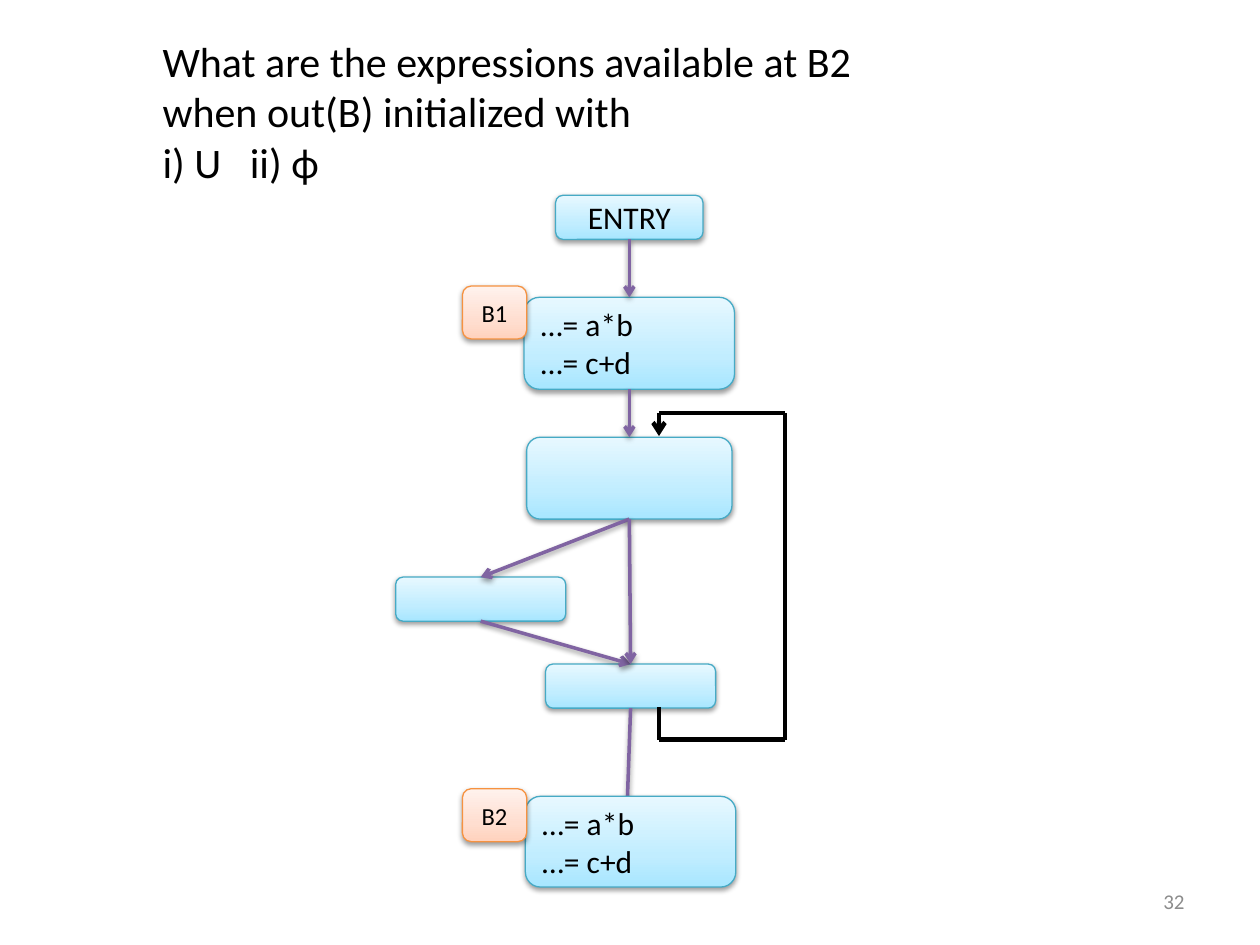
from copy import deepcopy
from dataclasses import dataclass

from pptx import Presentation
from pptx.dml.color import RGBColor
from pptx.enum.shapes import MSO_CONNECTOR, MSO_SHAPE
from pptx.enum.text import MSO_ANCHOR, MSO_AUTO_SIZE, PP_ALIGN
from pptx.oxml.ns import qn
from pptx.oxml.xmlchemy import OxmlElement
from pptx.util import Inches, Pt

STRAIGHT = MSO_CONNECTOR.STRAIGHT
ROUNDED = MSO_SHAPE.ROUNDED_RECTANGLE
LEFT, CENTER, RIGHT = PP_ALIGN.LEFT, PP_ALIGN.CENTER, PP_ALIGN.RIGHT
TOP, MIDDLE = MSO_ANCHOR.TOP, MSO_ANCHOR.MIDDLE
FIXED = MSO_AUTO_SIZE.NONE
CELL = Inches(0.1)
COLUMNS, ROWS = 100, 75
TITLE_ONLY = 5


@dataclass(frozen=True)
class Theme:
    font: str = "Calibri"
    ink: str = "000000"
    muted: str = "8C8C8C"
    flow: str = "8064A2"
    block: tuple = ("46AAC5", "A7E6FF", "C1EDFF", "E7F8FF")
    tag: tuple = ("F69240", "FFD2BD", "FFDED0", "FFF2ED")
    stops: tuple = (0, 0.35, 1)
    question_size: int = 24
    code_size: int = 18
    tag_size: int = 14
    number_size: int = 12
    outline: float = 0.75
    flow_width: float = 2
    loop_width: float = 2.5


THEME = Theme()


@dataclass(frozen=True)
class Box:
    left: float
    top: float
    width: float
    height: float

    def inner(self, left, top, width, height):
        return Box(self.left + left, self.top + top, width, height)

    def point(self, across, down):
        return self.left + across * self.width, self.top + down * self.height

    def lengths(self):
        return [grid(n) for n in (self.left, self.top, self.width, self.height)]


def grid(cells):
    return round(cells * CELL)


def colour(code):
    return RGBColor.from_string(code)


def write(shape, lines, size, align=LEFT, anchor=MIDDLE, ink=THEME.ink):
    frame = shape.text_frame
    frame.word_wrap = True
    frame.auto_size = FIXED
    frame.vertical_anchor = anchor
    for index, line in enumerate(lines):
        para = frame.add_paragraph() if index else frame.paragraphs[0]
        para.alignment = align
        span = para.add_run()
        span.text = line
        span.font.name = THEME.font
        span.font.size = Pt(size)
        span.font.color.rgb = colour(ink)


def add_effects(shape, shadowed):
    effects = OxmlElement("a:effectLst")
    if shadowed:
        shadow = OxmlElement("a:outerShdw")
        for name, value in (("blurRad", Pt(3.1)), ("dist", Pt(1.6)),
                            ("dir", 5400000), ("rotWithShape", 0)):
            shadow.set(name, str(value))
        black = OxmlElement("a:srgbClr")
        black.set("val", THEME.ink)
        alpha = OxmlElement("a:alpha")
        alpha.set("val", "38000")
        black.append(alpha)
        shadow.append(black)
        effects.append(shadow)
    shape._element.spPr.append(effects)


def add_block(page, box, palette, lines=(), size=THEME.code_size, align=LEFT):
    shape = page.shapes.add_shape(ROUNDED, *box.lengths())
    edge, *shades = palette
    shape.fill.gradient()
    shape.fill.gradient_angle = 90
    stop_list = shape._element.spPr.find(".//" + qn("a:gsLst"))
    stop_list.insert(1, deepcopy(stop_list[0]))
    for stop, position, shade in zip(shape.fill.gradient_stops, THEME.stops, shades):
        stop.position = position
        stop.color.rgb = colour(shade)
    shape.line.color.rgb = colour(edge)
    shape.line.width = Pt(THEME.outline)
    add_effects(shape, True)
    write(shape, lines, size, align)


def add_line(page, start, end, ink, width, arrow=False, shadowed=False):
    line = page.shapes.add_connector(STRAIGHT, *[grid(n) for n in (*start, *end)])
    line.line.color.rgb = colour(ink)
    line.line.width = Pt(width)
    if arrow:
        tail = OxmlElement("a:tailEnd")
        tail.set("type", "arrow")
        line.line._get_or_add_ln().append(tail)
    add_effects(line, shadowed)


def place_question(page, box):
    title = page.shapes.title
    title.left, title.top, title.width, title.height = box.lengths()
    write(title, ["What are the expressions available at B2",
                  "when out(B) initialized with",
                  "i) U   ii) ϕ"], THEME.question_size, anchor=TOP)


def place_flow(page, box):
    code = ["…= a*b", "…= c+d"]
    entry = box.inner(13.1, 0.5, 11.7, 3.5)
    first = box.inner(10.6, 8.6, 16.7, 7.3)
    branch = box.inner(10.8, 19.7, 16.3, 6.5)
    side = box.inner(0.4, 30.8, 13.5, 3.5)
    join = box.inner(12.3, 37.7, 13.5, 3.5)
    last = box.inner(10.7, 48.2, 16.7, 7.2)

    add_block(page, entry, THEME.block, ["ENTRY"], align=CENTER)
    add_block(page, first, THEME.block, code)
    for empty in (branch, side, join):
        add_block(page, empty, THEME.block)

    links = [(entry, first), (first, branch), (branch, side),
             (side, join), (branch, join)]
    paths = [(a.point(0.5, 1), b.point(0.5, 0)) for a, b in links]
    paths.append((join.point(0.5, 1), last.point(0.48, 0.35)))
    for start, end in paths:
        add_line(page, start, end, THEME.flow, THEME.flow_width, True, True)

    add_block(page, last, THEME.block, code)
    for name, top in (("B1", 7.7), ("B2", 47.6)):
        add_block(page, box.inner(5.7, top, 5.1, 4.2), THEME.tag,
                  [name], THEME.tag_size, CENTER)


def place_loop(page, box):
    corners = [box.point(*at) for at in ((0, 0), (1, 0), (1, 1), (0, 1))]
    leave = box.point(0, 0.9)
    enter = box.point(0, 0.07)
    stops = [*corners, leave]
    for start, end in zip(stops, stops[1:]):
        add_line(page, start, end, THEME.ink, THEME.loop_width)
    add_line(page, corners[0], enter, THEME.ink, THEME.loop_width, True)


def place_number(page, box):
    number = page.shapes.add_textbox(*box.lengths())
    write(number, ["32"], THEME.number_size, RIGHT, ink=THEME.muted)


def main():
    deck = Presentation()
    deck.slide_width, deck.slide_height = grid(COLUMNS), grid(ROWS)
    page = deck.slides.add_slide(deck.slide_layouts[TITLE_ONLY])
    place_number(page, Box(71.7, 69.5, 23.3, 4))
    place_question(page, Box(11.9, 2.3, 66.7, 13.1))
    place_flow(page, Box(31, 15, 28, 56))
    place_loop(page, Box(52.3, 32.8, 10, 25.9))
    deck.save("out.pptx")


if __name__ == "__main__":
    main()
